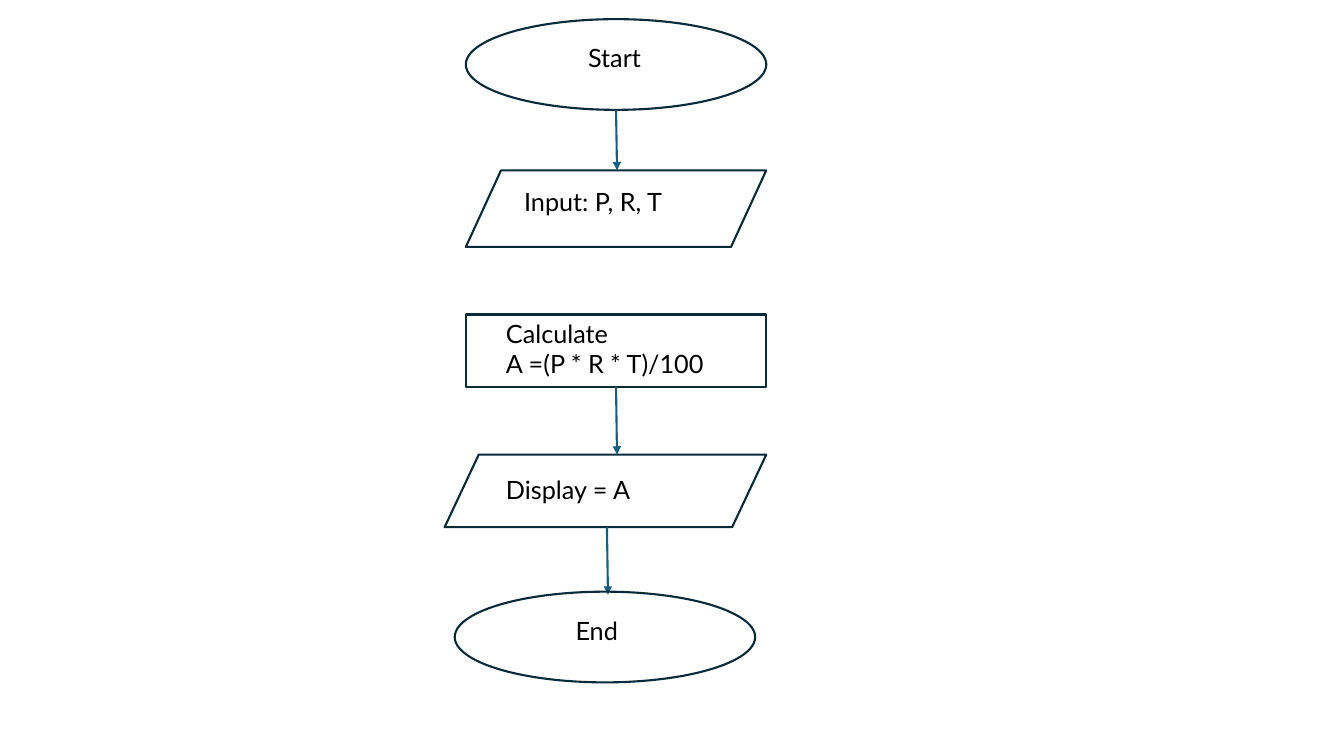
import lxml.etree
import pptx
import pptx.dml.color
import pptx.enum.shapes
import pptx.enum.text
import pptx.oxml.ns
import pptx.util

EMU_PER_PX = 9144  # 100 px to the inch
COLORS = {"outline": "092A39", "arrow": "156082", "text": "000000"}
FONT_FORMAT = {"name": "Lato", "size": pptx.util.Pt(18)}
FRAME_FORMAT = {
    "word_wrap": True,
    "auto_size": pptx.enum.text.MSO_AUTO_SIZE.SHAPE_TO_FIT_TEXT,
}
SHAPES = pptx.enum.shapes.MSO_SHAPE
ALIGN = pptx.enum.text.PP_ALIGN


def px(*lengths):
    return [pptx.util.Emu(length * EMU_PER_PX) for length in lengths]


def color(name):
    return pptx.dml.color.RGBColor.from_string(COLORS[name])


def set_attributes(target, values):
    for name, value in values.items():
        setattr(target, name, value)


def set_line(line, color_name):
    line.color.rgb = color(color_name)
    line.width = pptx.util.Pt(1.5)


def add_step(slide, kind, box, slant=None):
    """Add an unfilled flowchart outline."""
    shape = slide.shapes.add_shape(kind, *px(*box))
    shape.shadow.inherit = False
    shape.fill.background()
    set_line(shape.line, "outline")
    if slant is not None:
        shape.adjustments[0] = slant
    return shape


def add_label(slide, box, lines, alignment=ALIGN.LEFT):
    """Add a text box with one paragraph per line."""
    frame = slide.shapes.add_textbox(*px(*box)).text_frame
    set_attributes(frame, FRAME_FORMAT)
    frame.text = "\n".join(lines)
    for paragraph in frame.paragraphs:
        paragraph.alignment = alignment
        for run in paragraph.runs:
            set_attributes(run.font, FONT_FORMAT)
            run.font.color.rgb = color("text")


def add_arrow(slide, start, end):
    connector = slide.shapes.add_connector(
        pptx.enum.shapes.MSO_CONNECTOR.STRAIGHT, *px(*start, *end))
    set_line(connector.line, "arrow")
    qn = pptx.oxml.ns.qn
    properties = connector._element.spPr
    line = properties.find(qn("a:ln"))
    lxml.etree.SubElement(line, qn("a:tailEnd"), type="triangle")
    lxml.etree.SubElement(properties, qn("a:effectLst"))
    return connector


def main():
    presentation = pptx.Presentation()
    presentation.slide_width, presentation.slide_height = px(1333, 750)
    slide = presentation.slides.add_slide(presentation.slide_layouts[6])

    # Flowchart steps
    add_step(slide, SHAPES.OVAL, (462, 19, 298, 90))
    add_step(slide, SHAPES.PARALLELOGRAM, (462, 169, 298, 76), 0.46)
    calculation = add_step(slide, SHAPES.RECTANGLE, (462, 312, 298, 72))
    add_step(slide, SHAPES.PARALLELOGRAM, (441, 451, 319, 72), 0.47)

    # Arrows between steps
    add_arrow(slide, (611, 109), (612, 169))
    calculation_arrow = add_arrow(slide, (611, 384), (612, 451))
    calculation_arrow.begin_connect(calculation, 2)
    add_arrow(slide, (602, 523), (603, 590))

    # The end step covers the last arrow's tip
    add_step(slide, SHAPES.OVAL, (451, 587, 298, 90))

    # Step labels
    add_label(slide, (499, 37, 221, 40), ["Start"], ALIGN.CENTER)
    add_label(slide, (510, 180, 201, 40), ["Input: P, R, T"])
    add_label(slide, (492, 311, 235, 71), ["Calculate", "A =(P * R * T)/100"])
    add_label(slide, (492, 466, 187, 40), ["Display = A"])
    add_label(slide, (561, 606, 212, 40), ["End"])

    presentation.save("out.pptx")


if __name__ == "__main__":
    main()
